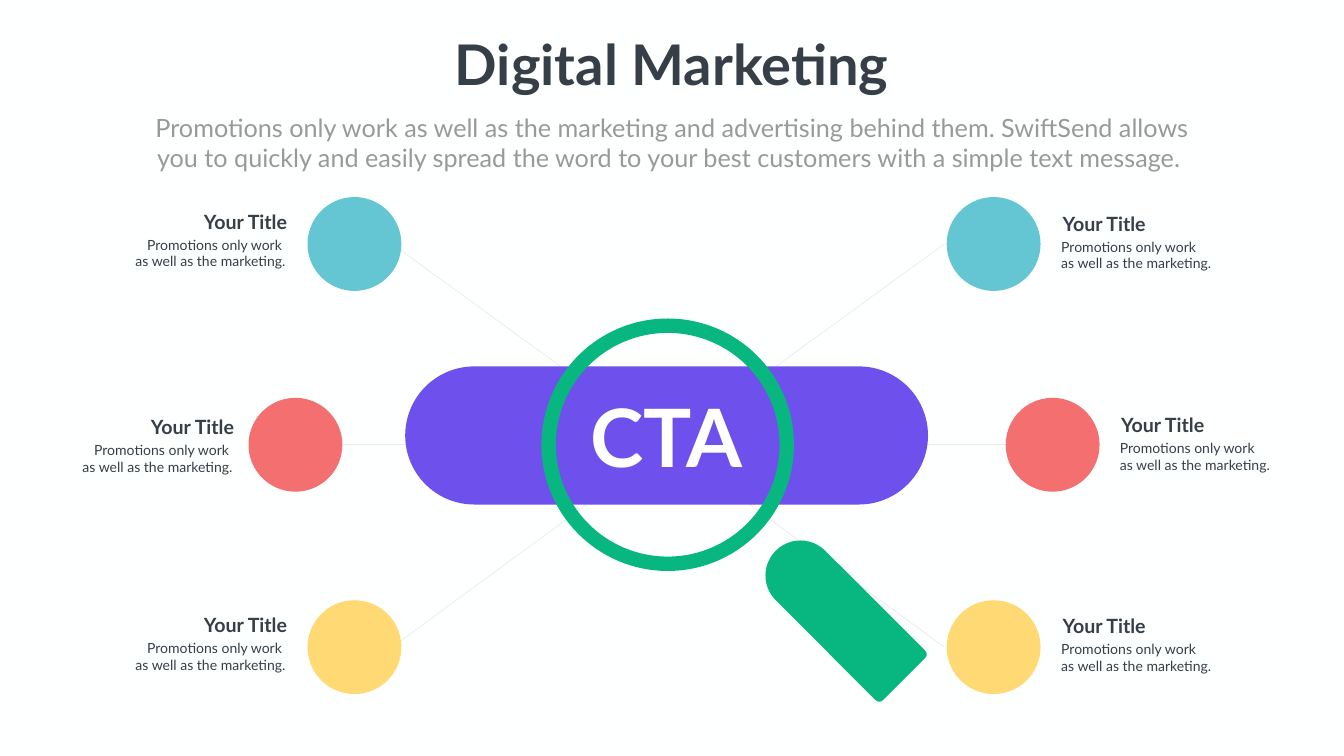
import pptx
import pptx.util
import pptx.dml.color
import pptx.enum.shapes
import pptx.enum.text
import pptx.oxml.ns
from lxml import etree

SHAPES = pptx.enum.shapes.MSO_SHAPE
ALIGN = pptx.enum.text.PP_ALIGN

# Content
TITLE = "Digital Marketing"
SUBTITLE = ("Promotions only work as well as the marketing and advertising behind them. "
            "SwiftSend allows you to quickly and easily spread the word to your best "
            "customers with a simple text message. ")
HUB_LABEL = "CTA"
ITEM_TITLE = "Your Title"
ITEM_LINES = {"left": ["Promotions only work ", "as well as the marketing."],
              "right": ["Promotions only work", "as well as the marketing."]}

COLORS = {"background": "FEFFFF", "dark": "363E48", "grey": "999999", "spoke": "EBEBEB",
          "purple": "6E51EC", "green": "08B680", "teal": "65C6D3", "coral": "F46F6F",
          "yellow": "FFD973"}

# Places are percentages of the slide's width (across) and height (down)
WIDTH, HEIGHT = 26.66, 15
AXIS = 50.15
HUB = (49.72, 58.83)
DIAMETER = 6.98
# Row: color, centre, distance of circle and spoke end from the axis,
# then text edge and text top on each side
ROWS = [
    {"color": "teal", "centre": 32.27, "circle": 23.78, "spoke": 20.54,
     "left": (21.72, 27.4), "right": (78.69, 27.67)},
    {"color": "coral", "centre": 58.83, "circle": 28.17, "spoke": 25.36,
     "left": (17.78, 54.6), "right": (83.05, 54.33)},
    {"color": "yellow", "centre": 85.6, "circle": 23.78, "spoke": 20.54,
     "left": (21.72, 80.73), "right": (78.69, 80.87)},
]
SIDES = {"left": -1, "right": 1}
ITEM_TITLE_SIZE = (8.1, 3.8)
ITEM_BODY_SIZE = (12.49, 5.13)
BODY_SHIFT, BODY_DROP = -0.1, 3.5


def across(share):
    return pptx.util.Inches(WIDTH * share / 100)


def down(share):
    return pptx.util.Inches(HEIGHT * share / 100)


def rgb(name):
    return pptx.dml.color.RGBColor.from_string(COLORS[name])


def add_text(slide, lines, box, size, color="dark", bold=False, align=ALIGN.CENTER, wrap=True):
    left, top, width, height = box
    shape = slide.shapes.add_textbox(across(left), down(top), across(width), down(height))
    frame = shape.text_frame
    frame.word_wrap = wrap
    frame.auto_size = pptx.enum.text.MSO_AUTO_SIZE.SHAPE_TO_FIT_TEXT
    for index, line in enumerate(lines):
        paragraph = frame.paragraphs[0] if index == 0 else frame.add_paragraph()
        paragraph.alignment = align
        run = paragraph.add_run()
        run.text = line
        run.font.name = "Lato"
        run.font.size = pptx.util.Pt(size)
        run.font.bold = bold
        run.font.color.rgb = rgb(color)


def add_centred_shape(slide, kind, centre, width, height, color, adjustments=(), rotation=0):
    """Width and height are lengths; the centre is a pair of shares."""
    left = across(centre[0]) - width // 2
    top = down(centre[1]) - height // 2
    shape = slide.shapes.add_shape(kind, left, top, width, height)
    shape.shadow.inherit = False
    shape.fill.solid()
    shape.fill.fore_color.rgb = rgb(color)
    shape.line.fill.background()
    shape.rotation = rotation
    for index, value in enumerate(adjustments):
        shape.adjustments[index] = value


def add_spoke(slide, end):
    spoke = slide.shapes.add_connector(
        pptx.enum.shapes.MSO_CONNECTOR.STRAIGHT,
        across(HUB[0]), down(HUB[1]), across(end[0]), down(end[1]))
    spoke.line.color.rgb = rgb("spoke")
    spoke.line.width = pptx.util.Pt(1)
    etree.SubElement(spoke._element.spPr, pptx.oxml.ns.qn("a:effectLst"))


def add_item_text(slide, side, edge, top):
    align = ALIGN.RIGHT if side == "left" else ALIGN.LEFT

    def box(size, shift, drop):
        left = edge + shift - (size[0] if side == "left" else 0)
        return (left, top + drop, *size)

    add_text(slide, [ITEM_TITLE], box(ITEM_TITLE_SIZE, 0, 0), 28, bold=True, align=align)
    add_text(slide, ITEM_LINES[side], box(ITEM_BODY_SIZE, BODY_SHIFT, BODY_DROP), 20, align=align)


def main():
    presentation = pptx.Presentation()
    presentation.slide_width = pptx.util.Inches(WIDTH)
    presentation.slide_height = pptx.util.Inches(HEIGHT)
    slide = presentation.slides.add_slide(presentation.slide_layouts[6])
    slide.background.fill.solid()
    slide.background.fill.fore_color.rgb = rgb("background")

    # Spokes behind everything
    for row in ROWS:
        for sign in SIDES.values():
            add_spoke(slide, (HUB[0] + sign * row["spoke"], row["centre"]))

    # Search bar and magnifying glass
    add_centred_shape(slide, SHAPES.ROUNDED_RECTANGLE, (49.6, 57.6), across(38.9), down(18.27),
                      "purple", [0.5])
    add_centred_shape(slide, SHAPES.ROUND_2_SAME_RECTANGLE, (62.49, 81.33), across(5.21),
                      across(13.5), "green", [0.5, 0.07], rotation=315)
    add_centred_shape(slide, SHAPES.DONUT, (49.68, HUB[1]), across(18.79), across(18.79),
                      "green", [0.057])

    # Circles and their texts
    for row in ROWS:
        for side, sign in SIDES.items():
            centre = (AXIS + sign * row["circle"], row["centre"])
            add_centred_shape(slide, SHAPES.OVAL, centre, across(DIAMETER), across(DIAMETER),
                              row["color"])
            add_item_text(slide, side, *row[side])

    # Headings and hub label
    add_text(slide, [TITLE], (33.08, 3.53, 33.8, 9.67), 80, bold=True, wrap=False)
    add_text(slide, [SUBTITLE], (10.05, 14.53, 79.89, 8.73), 36, color="grey")
    add_text(slide, [HUB_LABEL], (43.25, 50.8, 12.64, 13.6), 115, color="background",
             bold=True, wrap=False)

    presentation.save("out.pptx")


if __name__ == "__main__":
    main()
